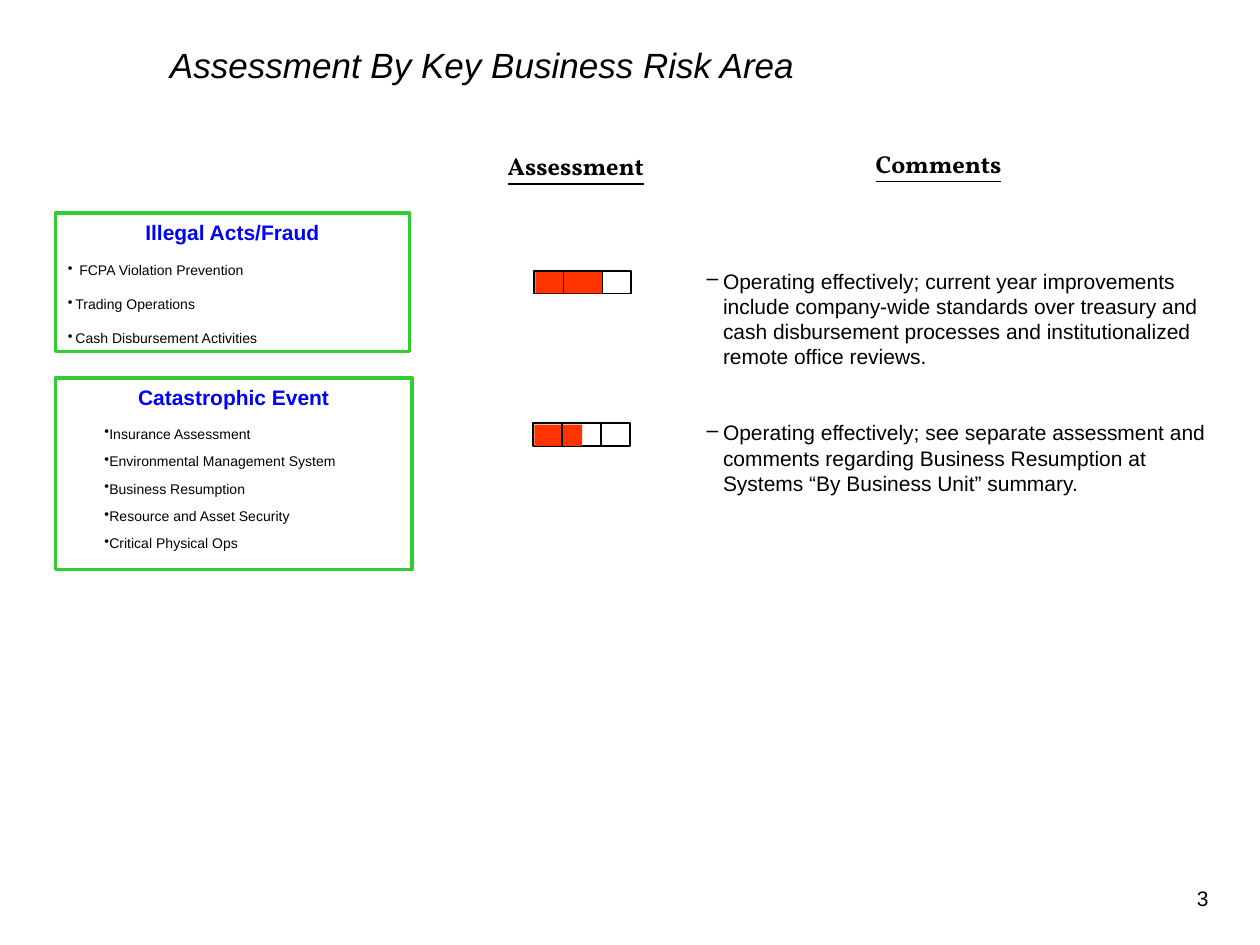
import pptx
import pptx.util
import pptx.dml.color
import pptx.enum.shapes
import pptx.enum.text
import lxml.etree

Inch = pptx.util.Inches
Pt = pptx.util.Pt
Shape = pptx.enum.shapes.MSO_SHAPE
Align = pptx.enum.text.PP_ALIGN
Size = pptx.enum.text.MSO_AUTO_SIZE

HUES = {"ink": "000000", "paper": "FFFFFF", "frame": "33CC33",
        "head": "0000FF", "gauge": "FF3300"}
TITLE = "Assessment By Key Business Risk Area"
HEADS = [("Assessment", (3.93, 1.15, 1.35, 0.33)),
         ("Comments", (6.85, 1.13, 1.25, 0.33))]
RISKS = [
    {"name": "Illegal Acts/Fraud", "box": (0.44, 1.69, 2.81, 1.1),
     "items": [" FCPA Violation Prevention", "Trading Operations",
               "Cash Disbursement Activities"],
     "style": {"left": 0.06, "hang": 0.06}, "gaps": (9.8, 9.9)},
    {"name": "Catastrophic Event", "box": (0.44, 3, 2.83, 1.52),
     "items": ["Insurance Assessment", "Environmental Management System",
               "Business Resumption", "Resource and Asset Security",
               "Critical Physical Ops"],
     "style": {"left": 0.29, "hang": 0, "lead": 0.8}, "gaps": (11, 8)},
]
NOTES = [
    "Operating effectively; current year improvements include company-wide "
    "standards over treasury and cash disbursement processes and "
    "institutionalized remote office reviews.",
    "Operating effectively; see separate assessment and comments regarding "
    "Business Resumption at Systems “By Business Unit” summary.",
]
GAUGES = [(4.24, 2.15, 0.54), (4.23, 3.36, 0.39)]
WIDE, HIGH = 0.77, 0.18
MARKS = (0.23, 0.54)

deck = pptx.Presentation()
deck.slide_width, deck.slide_height = Inch(10), Inch(7.5)
slide = deck.slides.add_slide(deck.slide_layouts[6])


def color(name):
    return pptx.dml.color.RGBColor.from_string(HUES[name])


def rect(box, fill=None, line=None, width=1):
    shape = slide.shapes.add_shape(Shape.RECTANGLE, *map(Inch, box))
    shape.shadow.inherit = False
    if fill:
        shape.fill.solid()
        shape.fill.fore_color.rgb = color(fill)
    else:
        shape.fill.background()
    if line:
        shape.line.color.rgb = color(line)
        shape.line.width = Pt(width)
    else:
        shape.line.fill.background()
    return shape


def frame(shape, wrap=True):
    body = shape.text_frame
    body.word_wrap = wrap
    body.auto_size = Size.NONE if wrap else Size.SHAPE_TO_FIT_TEXT
    body.vertical_anchor = pptx.enum.text.MSO_ANCHOR.TOP
    return body


def label(box, wrap=True):
    return frame(slide.shapes.add_textbox(*map(Inch, box)), wrap)


def write(body, text, size, first=False, face="Arial", hue="ink",
          align=Align.LEFT, gap=0, mark=None, left=0, hang=0, lead=None,
          bold=False, slant=False, under=False):
    para = body.paragraphs[0] if first else body.add_paragraph()
    para.text = text
    para.alignment = align
    if gap:
        para.space_before = Pt(gap)
    if lead:
        para.line_spacing = lead
    if mark:
        props = para._p.get_or_add_pPr()
        props.set("marL", str(Inch(left)))
        props.set("indent", str(-Inch(hang)))
        tag = pptx.oxml.ns.qn("a:buChar")
        lxml.etree.SubElement(props, tag).set("char", mark)
    font = para.font
    font.name, font.size, font.color.rgb = face, Pt(size), color(hue)
    font.bold, font.italic, font.underline = bold, slant, under


def rule(x, top, end):
    line = slide.shapes.add_connector(
        pptx.enum.shapes.MSO_CONNECTOR.STRAIGHT,
        *map(Inch, (x, top, x, end)))
    line.line.color.rgb = color("ink")
    line.line.width = Pt(0.75)
    tag = pptx.oxml.ns.qn("a:effectLst")
    lxml.etree.SubElement(line._element.spPr, tag)


title = rect((1.25, 0.3, 5.75, 0.43), "paper")
write(frame(title), TITLE, 20, first=True, slant=True)

for risk in RISKS:
    body = frame(rect(risk["box"], line="frame", width=2))
    write(body, risk["name"], 12, first=True, hue="head",
          align=Align.CENTER, bold=True)
    for i, item in enumerate(risk["items"]):
        write(body, item, 8, gap=risk["gaps"][min(i, 1)], mark="•",
              **risk["style"])

for text, box in HEADS:
    write(label(box, False), text, 14, first=True, face="Vollkorn",
          bold=True, under=True)

body = label((5.51, 1.87, 4.32, 2.7))
body.margin_top = Inch(0.26)
for i, note in enumerate(NOTES):
    write(body, note, 12, first=i == 0, gap=29 * i, mark="–",
          left=0.13, hang=0.13)

for x, y, fill in GAUGES:
    rect((x, y, WIDE, HIGH), "paper", "ink")
    rect((x + 0.01, y + 0.01, fill - 0.01, HIGH - 0.01), "gauge")
    for mark in MARKS:
        rule(x + mark, y, y + HIGH)

write(label((9.4, 6.98, 0.29, 0.3), False), "3", 12, first=True)

deck.save("out.pptx")
